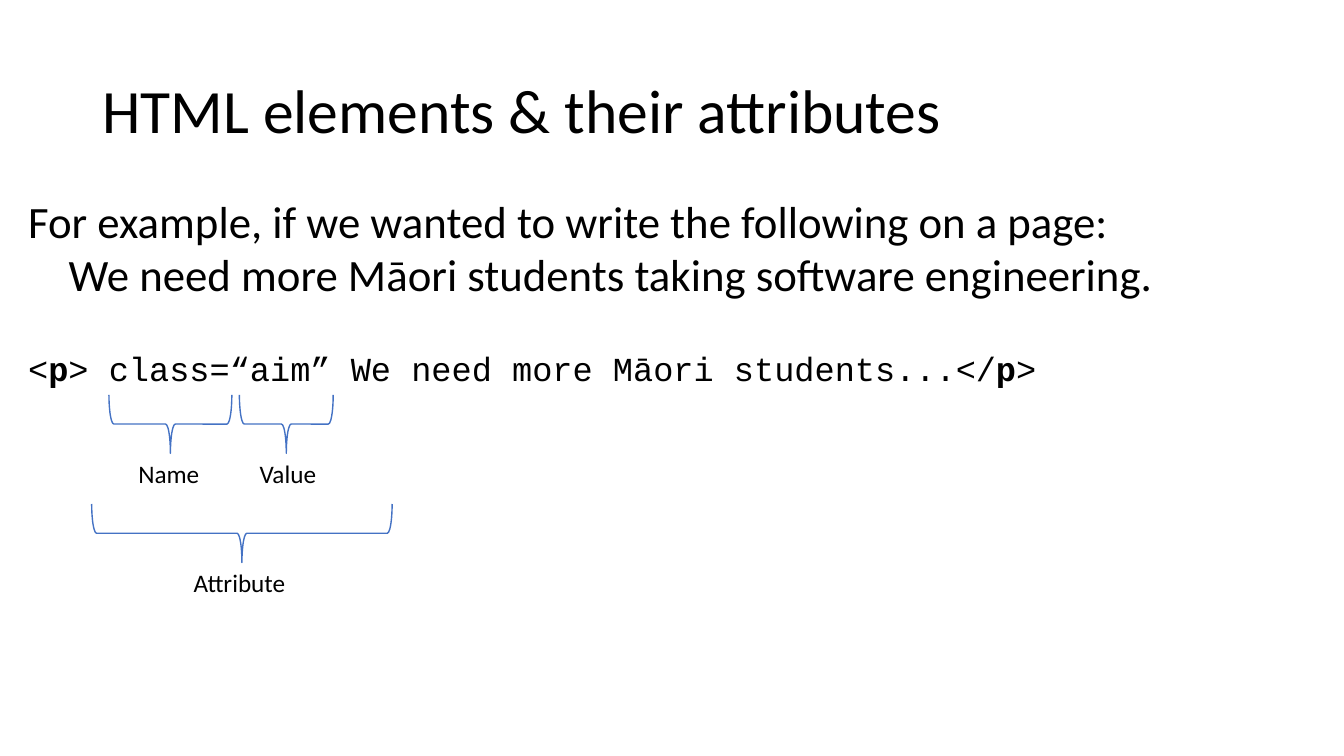
from pptx import Presentation
from pptx.dml.color import RGBColor
from pptx.enum.shapes import MSO_SHAPE
from pptx.enum.text import MSO_ANCHOR, PP_ALIGN
from pptx.util import Pt

BLACK = RGBColor(0x00, 0x00, 0x00)
BLUE = RGBColor(0x44, 0x72, 0xC4)
TITLE = {"name": "Calibri", "size": Pt(44)}
BODY = {"name": "Calibri", "size": Pt(32)}
CODE = {"name": "Courier New", "size": Pt(24)}
LABEL = {"name": "Calibri", "size": Pt(18)}


class Page:
    def __init__(self, deck):
        self.slide = deck.slides.add_slide(deck.slide_layouts[5])
        self.shapes = self.slide.shapes

    def style(self, font, form):
        for key, value in form.items():
            setattr(font, key, value)
        font.color.rgb = BLACK

    def title(self, text, left, top, width, height):
        box = self.shapes.title
        spots = {"left": left, "top": top, "width": width, "height": height}
        for key, value in spots.items():
            setattr(box, key, Pt(value))
        frame = box.text_frame
        frame.text = text
        frame.vertical_anchor = MSO_ANCHOR.MIDDLE
        para = frame.paragraphs[0]
        para.alignment = PP_ALIGN.LEFT
        para.line_spacing = 0.9
        self.style(para.runs[0].font, TITLE)

    def text(self, lines, form, left, top, width, height, align=PP_ALIGN.LEFT):
        """Each line is an indent and a list of (text, bold) parts."""
        box = self.shapes.add_textbox(Pt(left), Pt(top), Pt(width), Pt(height))
        frame = box.text_frame
        frame.word_wrap = True
        for row, (indent, parts) in enumerate(lines):
            para = frame.add_paragraph() if row else frame.paragraphs[0]
            para.alignment = align
            if indent:
                para._p.get_or_add_pPr().set("marL", str(Pt(indent)))
            for words, bold in parts:
                run = para.add_run()
                run.text = words
                self.style(run.font, {**form, "bold": bold})

    def brace(self, left, top, width, depth=41.8):
        """Draw a brace that spans width and points down."""
        mid_x, mid_y = left + width / 2, top + depth / 2
        mark = self.shapes.add_shape(
            MSO_SHAPE.RIGHT_BRACE, Pt(mid_x - depth / 2), Pt(mid_y - width / 2),
            Pt(depth), Pt(width))
        mark.rotation = 90
        mark.shadow.inherit = False
        mark.fill.background()
        mark.line.color.rgb = BLUE
        mark.line.width = Pt(1)

    def label(self, word, mid, top, width=90):
        self.text([(0, [(word, False)])], LABEL, mid - width / 2, top,
                  width, 28.8, PP_ALIGN.CENTER)


def main():
    deck = Presentation()
    deck.slide_width, deck.slide_height = Pt(960), Pt(540)
    page = Page(deck)

    # Title and example
    page.title("HTML elements & their attributes", 66, 28.8, 828, 104.4)
    page.text([
        (0, [("For example, if we wanted to write the following on a page:", False)]),
        (29, [("We need more Māori students taking software engineering.", False)]),
    ], BODY, 13, 134.6, 907, 85)

    # Line of code with bold tag names
    page.text([(0, [
        ("<", False), ("p", True),
        ("> class=“aim” We need more Māori students...</", False),
        ("p", True), (">", False),
    ])], CODE, 13, 244.8, 926, 36)

    # Braces: left, top, width; labels: word, middle, top
    for left, top, width, word, mid, base in (
        (65.5, 360, 214.6, "Attribute", 171, 401.8),
        (77.8, 282, 87.8, "Name", 120.6, 324),
        (171, 282, 67, "Value", 205.6, 324),
    ):
        page.brace(left, top, width)
        page.label(word, mid, base)

    deck.save("out.pptx")


if __name__ == "__main__":
    main()
